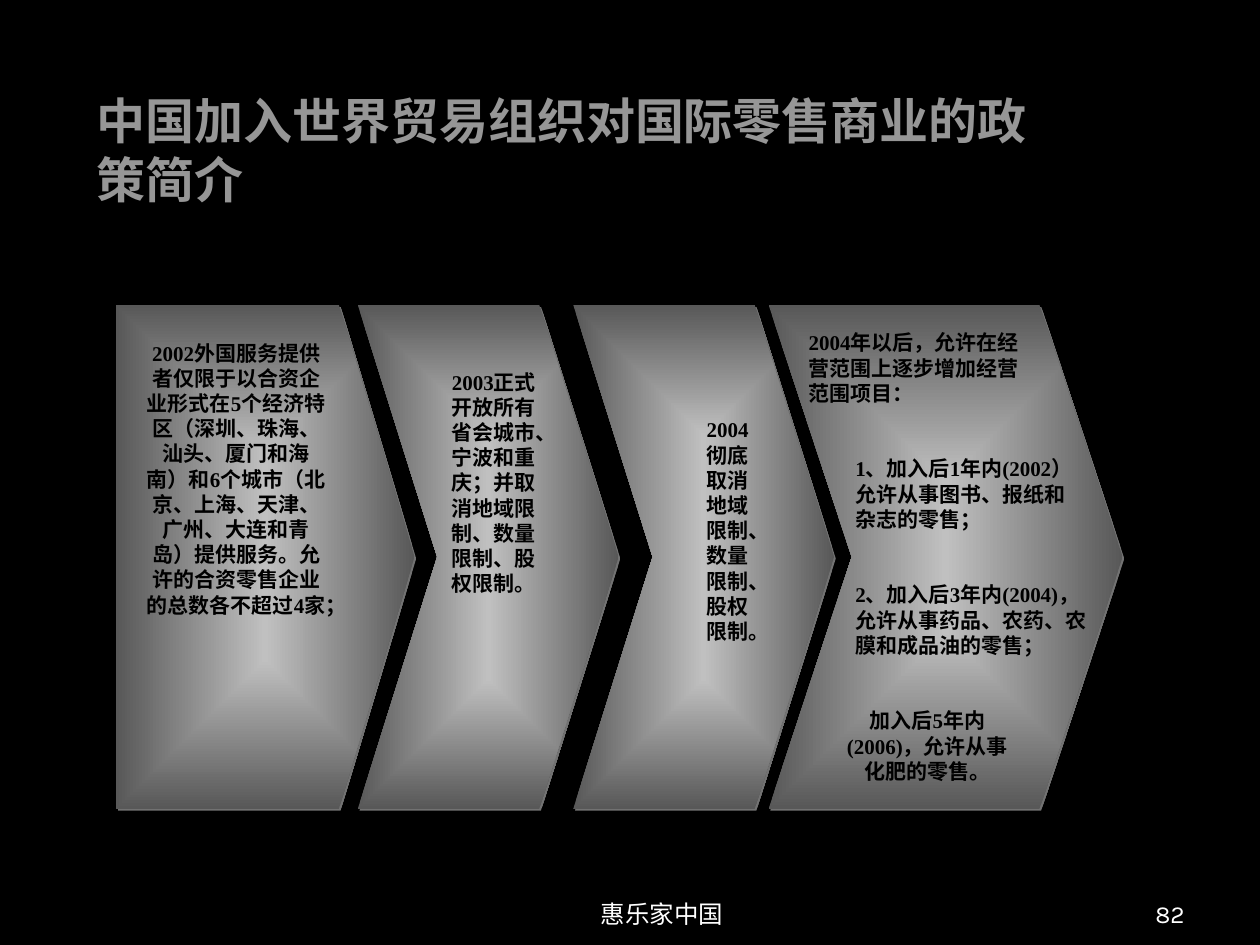
from dataclasses import dataclass

from pptx import Presentation
from pptx.dml.color import RGBColor
from pptx.enum.lang import MSO_LANGUAGE_ID
from pptx.enum.shapes import MSO_SHAPE
from pptx.enum.text import MSO_ANCHOR, MSO_AUTO_SIZE, PP_ALIGN
from pptx.oxml import parse_xml
from pptx.oxml.ns import nsdecls, qn
from pptx.slide import Slide
from pptx.util import Inches, Pt

STAGE_TOP = 2.42
STAGE_HEIGHT = 4
CHINESE_FONT = "Noto Sans CJK SC"


@dataclass(frozen=True)
class Stage:
    left: float
    width: float
    point: float
    outline: MSO_SHAPE = MSO_SHAPE.CHEVRON


@dataclass(frozen=True)
class Label:
    text: str
    left: float
    top: float
    width: float
    height: float
    align: PP_ALIGN = PP_ALIGN.LEFT
    font: str = "Times New Roman"
    size: float = 12
    color: str = "000000"
    bold: bool = True
    anchor: MSO_ANCHOR = MSO_ANCHOR.TOP
    fit: MSO_AUTO_SIZE = MSO_AUTO_SIZE.SHAPE_TO_FIT_TEXT


STAGES = [
    Stage(0.92, 2.37, 0.6, MSO_SHAPE.PENTAGON),
    Stage(2.84, 2.07, 0.63),
    Stage(4.55, 2.07, 0.63),
    Stage(6.1, 2.81, 0.66),
]

TITLE = Label(
    "中国加入世界贸易组织对国际零售商业的政策简介",
    0.67, 0.67, 7.75, 1.04, font=CHINESE_FONT, size=28, color="969696",
)

POLICIES = [
    Label(
        "2002外国服务提供者仅限于以合资企业形式在5个经济特区（深圳、珠海、汕头、厦门和海南）"
        "和6个城市（北京、上海、天津、广州、大连和青岛）提供服务。"
        "允许的合资零售企业的总数各不超过4家；",
        1.06, 2.65, 1.63, 2.5, PP_ALIGN.CENTER,
    ),
    Label(
        "2003正式开放所有省会城市、宁波和重庆；并取消地域限制、数量限制、股权限制。",
        3.44, 2.88, 0.96, 1.9, PP_ALIGN.CENTER,
    ),
    Label(
        "2004彻底取消地域限制、数量限制、股权限制。",
        5.44, 3.26, 0.67, 1.9, PP_ALIGN.CENTER,
    ),
    Label("2004年以后，允许在经营范围上逐步增加经营范围项目：", 6.32, 2.57, 1.93, 0.7),
    Label("1、加入后1年内(2002）允许从事图书、报纸和杂志的零售；", 6.69, 3.57, 1.93, 0.7),
    Label(
        "2、加入后3年内(2004)，允许从事药品、农药、农膜和成品油的零售；",
        6.69, 4.57, 2.07, 0.7,
    ),
    Label("加入后5年内(2006)，允许从事化肥的零售。", 6.62, 5.57, 1.48, 0.7, PP_ALIGN.CENTER),
]


def footer(text: str, left: float, width: float, align: PP_ALIGN) -> Label:
    return Label(
        text, left, 6.92, width, 0.5, align, "Karla", 14, "FFFFFF", False,
        MSO_ANCHOR.BOTTOM, MSO_AUTO_SIZE.NONE,
    )


FOOTERS = [
    footer("惠乐家中国", 3.67, 3.17, PP_ALIGN.CENTER),
    footer("82", 7.42, 2.08, PP_ALIGN.RIGHT),
]


def rgb(color: str) -> RGBColor:
    return RGBColor.from_string(color)


def draw_stage(slide: Slide, stage: Stage) -> None:
    arrow = slide.shapes.add_shape(
        stage.outline, Inches(stage.left), Inches(STAGE_TOP),
        Inches(stage.width), Inches(STAGE_HEIGHT),
    )
    arrow.adjustments[0] = stage.point / min(stage.width, STAGE_HEIGHT)
    arrow.line.fill.background()
    arrow.fill.gradient()
    for stop, color in zip(arrow.fill.gradient_stops, ("C0C0C0", "585858")):
        stop.color.rgb = rgb(color)
    properties = arrow._element.spPr
    gradient = properties.find(qn("a:gradFill"))
    gradient.replace(gradient.find(qn("a:lin")), parse_xml(
        f'<a:path {nsdecls("a")} path="rect">'
        '<a:fillToRect l="50000" t="50000" r="50000" b="50000"/></a:path>'
    ))
    arrow.shadow.inherit = False
    properties.find(qn("a:effectLst")).append(parse_xml(
        f'<a:outerShdw {nsdecls("a")} blurRad="0" dist="{Pt(1.4)}" dir="2700000" '
        'algn="ctr" rotWithShape="0"><a:srgbClr val="727272"/></a:outerShdw>'
    ))


def draw_label(slide: Slide, label: Label) -> None:
    box = slide.shapes.add_textbox(
        Inches(label.left), Inches(label.top), Inches(label.width), Inches(label.height)
    )
    frame = box.text_frame
    frame.word_wrap = True
    frame.auto_size = label.fit
    frame.vertical_anchor = label.anchor
    frame.text = label.text
    paragraph = frame.paragraphs[0]
    paragraph.alignment = label.align
    run = paragraph.runs[0]
    run.font.name = label.font
    run.font.size = Pt(label.size)
    run.font.bold = label.bold
    run.font.color.rgb = rgb(label.color)
    run.font.language_id = MSO_LANGUAGE_ID.SIMPLIFIED_CHINESE
    run._r.get_or_add_rPr().append(
        parse_xml(f'<a:ea {nsdecls("a")} typeface="{CHINESE_FONT}"/>')
    )


def main() -> None:
    presentation = Presentation()
    presentation.slide_width = Inches(10)
    presentation.slide_height = Inches(7.5)
    slide = presentation.slides.add_slide(presentation.slide_layouts[6])
    slide.background.fill.solid()
    slide.background.fill.fore_color.rgb = rgb("000000")
    draw_label(slide, TITLE)
    for stage in STAGES:
        draw_stage(slide, stage)
    for label in POLICIES + FOOTERS:
        draw_label(slide, label)
    presentation.save("out.pptx")


if __name__ == "__main__":
    main()
